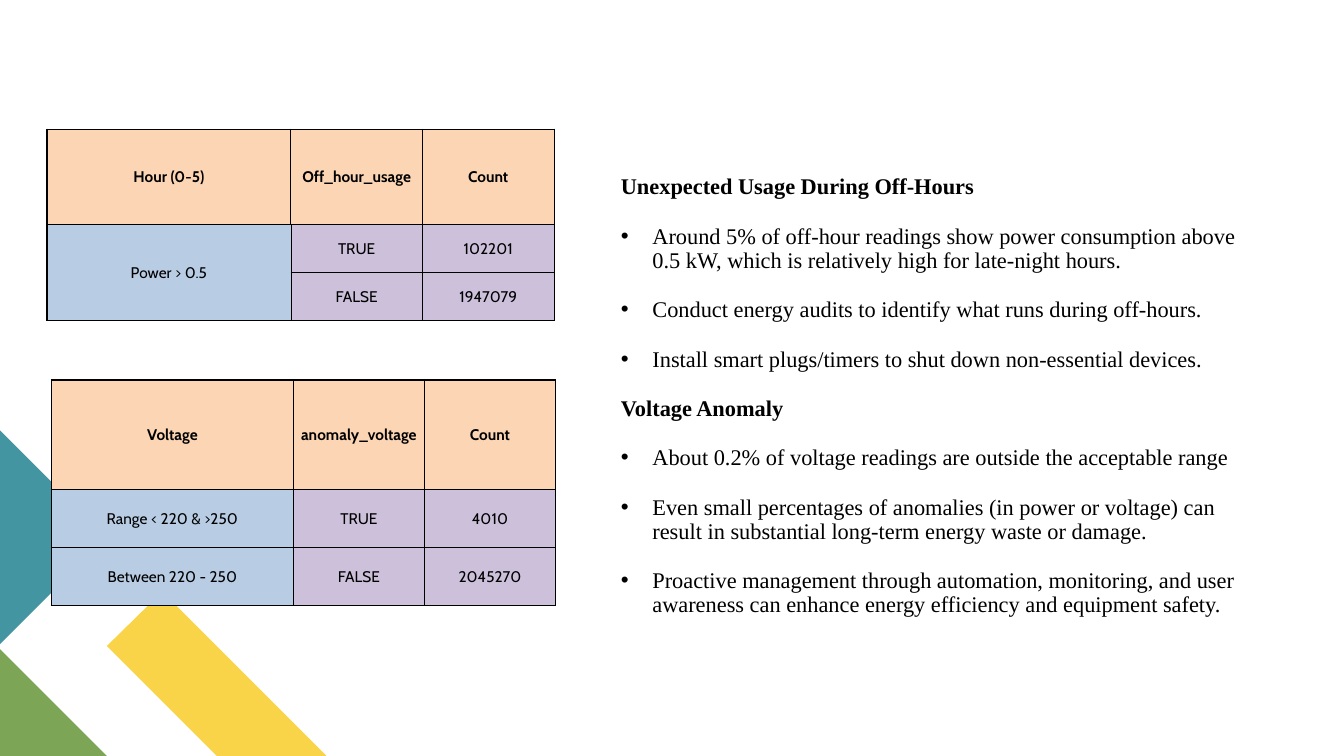
"""Build a slide with two usage-anomaly tables beside a list of findings."""
from lxml import etree
from pptx import Presentation
from pptx.dml.color import RGBColor
from pptx.enum import text
from pptx.oxml import ns
from pptx.util import Pt

INK = "000000"
HEADER, LABEL, VALUE = "FCD5B4", "B8CCE4", "CCC0DA"

FINDINGS = [
    ("Unexpected Usage During Off-Hours", [
        "Around 5% of off-hour readings show power consumption above 0.5 kW, "
        "which is relatively high for late-night hours.",
        "Conduct energy audits to identify what runs during off-hours.",
        "Install smart plugs/timers to shut down non-essential devices.",
    ]),
    ("Voltage Anomaly", [
        "About 0.2% of voltage readings are outside the acceptable range",
        "Even small percentages of anomalies (in power or voltage) can result in "
        "substantial long-term energy waste or damage.",
        "Proactive management through automation, monitoring, and user awareness "
        "can enhance energy efficiency and equipment safety.",
    ]),
]

TABLES = [
    dict(left=33.6, top=92.2, columns=(174.2, 94, 94), rows=(68.2, 34.2, 34.2), merge_labels=True,
         cells=[("Hour (0-5)", "Off_hour_usage", "Count"),
                ("Power > 0.5", "TRUE", "102201"),
                ("", "FALSE", "1947079")]),
    dict(left=36.8, top=271.4, columns=(172.8, 93.6, 93.6), rows=(78, 41.5, 41.5), merge_labels=False,
         cells=[("Voltage", "anomaly_voltage", "Count"),
                ("Range < 220 & >250", "TRUE", "4010"),
                ("Between 220 - 250", "FALSE", "2045270")]),
]

CORNER = [
    ("F9D448", [(233.3, 540), (154.8, 540), (76.3, 461.5), (115.9, 422.6)]),
    ("7CA655", [(76.3, 540), (0, 540), (0, 463.7)]),
    ("4495A2", [(0, 307.4), (76.3, 383.8), (0, 460.1)]),
]


def color(value):
    return RGBColor.from_string(value)


def add_span(para, words, font, size, bold):
    span = para.add_run()
    span.text = words
    span.font.name, span.font.size, span.font.bold = font, Pt(size), bold
    span.font.color.rgb = color(INK)


def add_corner(page):
    group = page.shapes.add_group_shape()
    for fill, points in CORNER:
        start, *rest = [(Pt(x), Pt(y)) for x, y in points]
        builder = group.shapes.build_freeform(*start)
        builder.add_line_segments(rest, close=True)
        band = builder.convert_to_shape()
        band.shadow.inherit = False
        band.fill.solid()
        band.fill.fore_color.rgb = color(fill)
        band.line.fill.background()


def add_finding(para, words, is_heading):
    para.space_before = Pt(18)
    para.line_spacing = 0.9
    props = para._p.get_or_add_pPr()
    props.set("marL", str(Pt(22.5)))
    props.set("indent", str(Pt(-22.5)))
    if is_heading:
        props.set("marL", "0")
        props.set("indent", "0")
        etree.SubElement(props, ns.qn("a:buNone"))
    else:
        etree.SubElement(props, ns.qn("a:buFont"), typeface="Arial")
        etree.SubElement(props, ns.qn("a:buChar"), char="•")
    add_span(para, words, "Times New Roman", 16, is_heading)


def fill_body(box):
    box.left, box.top, box.width, box.height = Pt(443.5), Pt(107.3), Pt(459.4), Pt(395.3)
    frame = box.text_frame
    frame.margin_left = frame.margin_right = frame.margin_bottom = 0
    frame.margin_top = Pt(18)
    frame.vertical_anchor = text.MSO_ANCHOR.TOP
    frame.auto_size = text.MSO_AUTO_SIZE.NONE
    frame.word_wrap = True
    lines = [(words, words == heading) for heading, points in FINDINGS for words in [heading, *points]]
    for i, (words, is_heading) in enumerate(lines):
        para = frame.add_paragraph() if i else frame.paragraphs[0]
        add_finding(para, words, is_heading)


def add_borders(cell, widths):
    props = cell._tc.get_or_add_tcPr()
    for side in "LRTB":
        line = etree.SubElement(props, ns.qn(f"a:ln{side}"), w=str(Pt(widths.get(side, 0.5))))
        fill = etree.SubElement(line, ns.qn("a:solidFill"))
        etree.SubElement(fill, ns.qn("a:srgbClr"), val=INK)


def format_cell(cell, words, row, column):
    widths = {}
    if row == 0:
        widths = {"L": 1, "T": 1, "R": 0.5 if column == 2 else 1}
    elif column == 0:
        widths = {"L": 1}
    add_borders(cell, widths)
    cell.fill.solid()
    cell.fill.fore_color.rgb = color(HEADER if row == 0 else LABEL if column == 0 else VALUE)
    cell.margin_left = cell.margin_right = cell.margin_top = Pt(0.75)
    cell.margin_bottom = 0
    cell.vertical_anchor = text.MSO_ANCHOR.MIDDLE
    if words:
        para = cell.text_frame.paragraphs[0]
        para.alignment = text.PP_ALIGN.CENTER
        add_span(para, words, "Cabin", 11, row == 0)


def add_counts(page, left, top, columns, rows, merge_labels, cells):
    table = page.shapes.add_table(len(rows), len(columns), Pt(left), Pt(top),
                                  Pt(sum(columns)), Pt(sum(rows))).table
    for column, width in zip(table.columns, columns):
        column.width = Pt(width)
    for r, (height, values) in enumerate(zip(rows, cells)):
        table.rows[r].height = Pt(height)
        for c, words in enumerate(values):
            format_cell(table.cell(r, c), words, r, c)
    if merge_labels:
        table.cell(1, 0).merge(table.cell(2, 0))


def main():
    deck = Presentation()
    deck.slide_width, deck.slide_height = Pt(960), Pt(540)
    page = deck.slides.add_slide(deck.slide_layouts[1])
    title = page.shapes.title._element
    title.getparent().remove(title)
    fill_body(page.placeholders[1])
    add_corner(page)
    for counts in TABLES:
        add_counts(page, **counts)
    deck.save("out.pptx")


if __name__ == "__main__":
    main()
